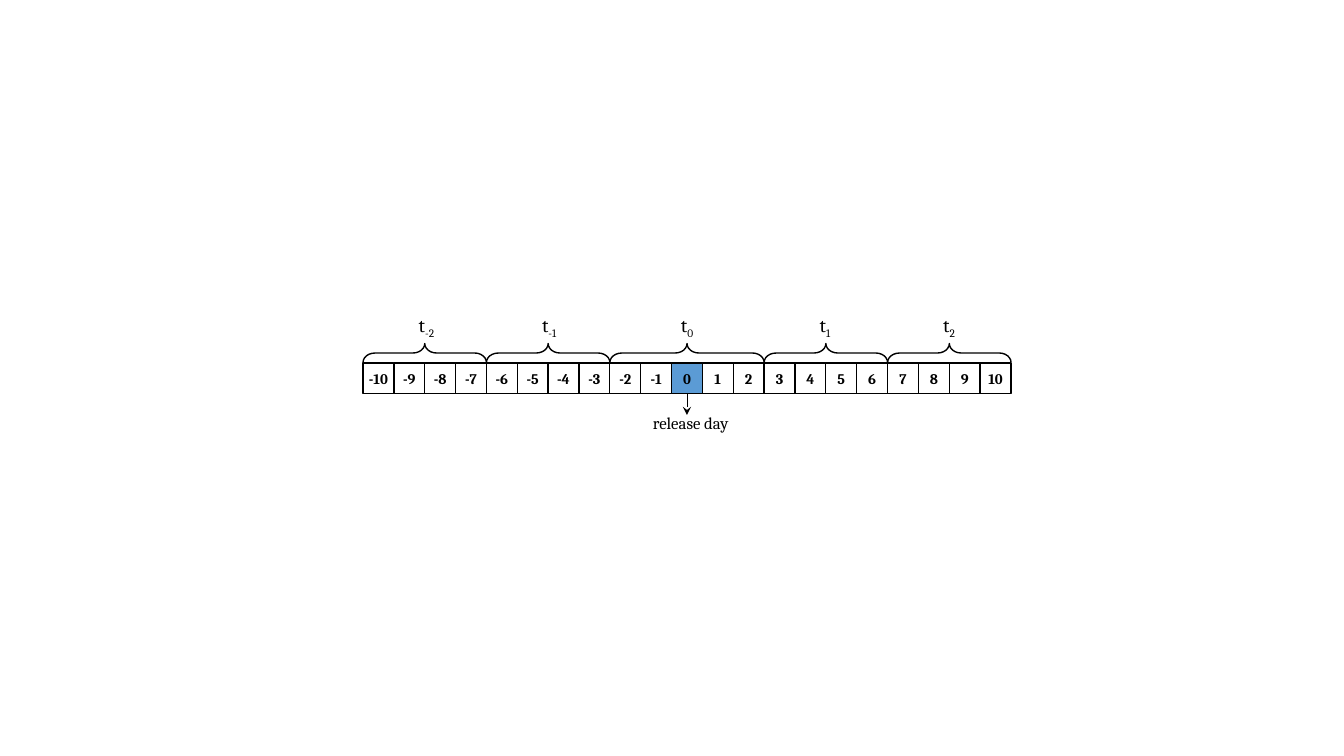
import pptx
import pptx.util
import pptx.dml.color
import pptx.enum.shapes
import pptx.enum.text
import pptx.oxml
import pptx.oxml.ns

DAYS = range(-10, 11)
PERIODS = [("-2", -10, -7), ("-1", -6, -3), ("0", -2, 2), ("1", 3, 6), ("2", 7, 10)]
RELEASE_DAY = 0
RELEASE_LABEL = "release day"

COLORS = {"ink": "000000", "release": "5B9BD5"}
FONT = "Cambria"
PX = 914400 / 100.8
SLIDE_WIDTH, SLIDE_HEIGHT = 1344, 756
ROW_LEFT, ROW_TOP, ROW_WIDTH = 363, 363, 648
CELL = ROW_WIDTH / len(DAYS)
BRACE_DEPTH = 19
BRACE_MIDDLE = 353

SHAPES = pptx.enum.shapes.MSO_SHAPE
ALIGN = pptx.enum.text.PP_ALIGN
ANCHOR = pptx.enum.text.MSO_ANCHOR


def emu(*lengths):
    return [round(length * PX) for length in lengths]


def color(name):
    return pptx.dml.color.RGBColor.from_string(COLORS[name])


def day_left(day):
    return ROW_LEFT + (day - DAYS[0]) * CELL


def set_values(target, values):
    for name, value in values.items():
        setattr(target, name, value)


def add_span(para, text, size, bold=False):
    span = para.add_run()
    span.text = text
    set_values(span.font, {"name": FONT, "size": pptx.util.Pt(size), "bold": bold})
    span.font.color.rgb = color("ink")
    return span


def set_line(item, width):
    item.line.color.rgb = color("ink")
    item.line.width = pptx.util.Pt(width)


def add_outline(page, kind, left, top, width, height, fill=None):
    shape = page.shapes.add_shape(kind, *emu(left, top, width, height))
    shape.shadow.inherit = False
    set_line(shape, 1)
    if fill:
        shape.fill.solid()
        shape.fill.fore_color.rgb = color(fill)
    else:
        shape.fill.background()
    return shape


def add_day(page, day):
    fill = "release" if day == RELEASE_DAY else None
    cell = add_outline(page, SHAPES.RECTANGLE, day_left(day), ROW_TOP, CELL, CELL, fill)
    set_values(cell.text_frame, {
        "margin_left": 0, "margin_right": 0, "margin_top": 0, "margin_bottom": 0,
        "vertical_anchor": ANCHOR.MIDDLE,
    })
    para = cell.text_frame.paragraphs[0]
    para.alignment = ALIGN.CENTER
    add_span(para, str(day), 10.5, True)


def add_label(page, left, top, width, height, text, size):
    box = page.shapes.add_textbox(*emu(left, top, width, height))
    box.text_frame.word_wrap = True
    para = box.text_frame.paragraphs[0]
    add_span(para, text, size)
    return para


def add_period(page, index, first, last):
    length = (last - first + 1) * CELL
    center = day_left(first) + length / 2
    brace = add_outline(page, SHAPES.LEFT_BRACE, center - BRACE_DEPTH / 2,
                        BRACE_MIDDLE - length / 2, BRACE_DEPTH, length)
    brace.rotation = 90
    brace.adjustments[0] = 0.62
    brace.adjustments[1] = 0.5
    width = 46 if index.startswith("-") else 38
    para = add_label(page, center - 16, 308, width, 34, "t", 14)
    subscript = add_span(para, index, 14)
    subscript._r.get_or_add_rPr().set("baseline", "-25000")


def add_release(page):
    center = day_left(RELEASE_DAY) + CELL / 2
    arrow = page.shapes.add_connector(
        pptx.enum.shapes.MSO_CONNECTOR.STRAIGHT,
        *emu(center, ROW_TOP + CELL, center, 415))
    set_line(arrow, 0.5)
    tail = pptx.oxml.parse_xml(
        f'<a:tailEnd {pptx.oxml.ns.nsdecls("a")} type="stealth"/>')
    arrow.line._get_or_add_ln().append(tail)
    arrow._element.spPr.append(
        pptx.oxml.parse_xml(f'<a:effectLst {pptx.oxml.ns.nsdecls("a")}/>'))
    add_label(page, center - 44, 408, 109, 30, RELEASE_LABEL, 12)


def main():
    deck = pptx.Presentation()
    deck.slide_width, deck.slide_height = emu(SLIDE_WIDTH, SLIDE_HEIGHT)
    page = deck.slides.add_slide(deck.slide_layouts[6])
    for day in DAYS:
        add_day(page, day)
    for period in PERIODS:
        add_period(page, *period)
    add_release(page)
    deck.save("out.pptx")


if __name__ == "__main__":
    main()
